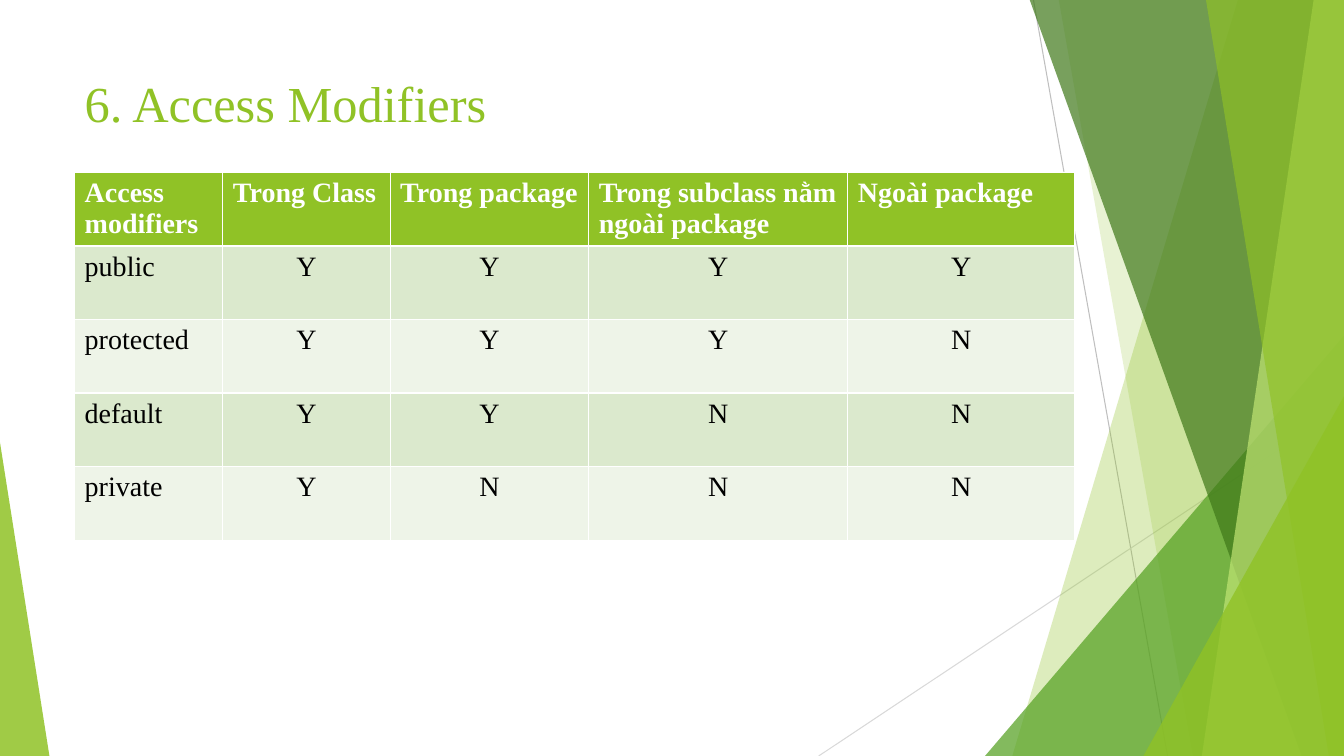
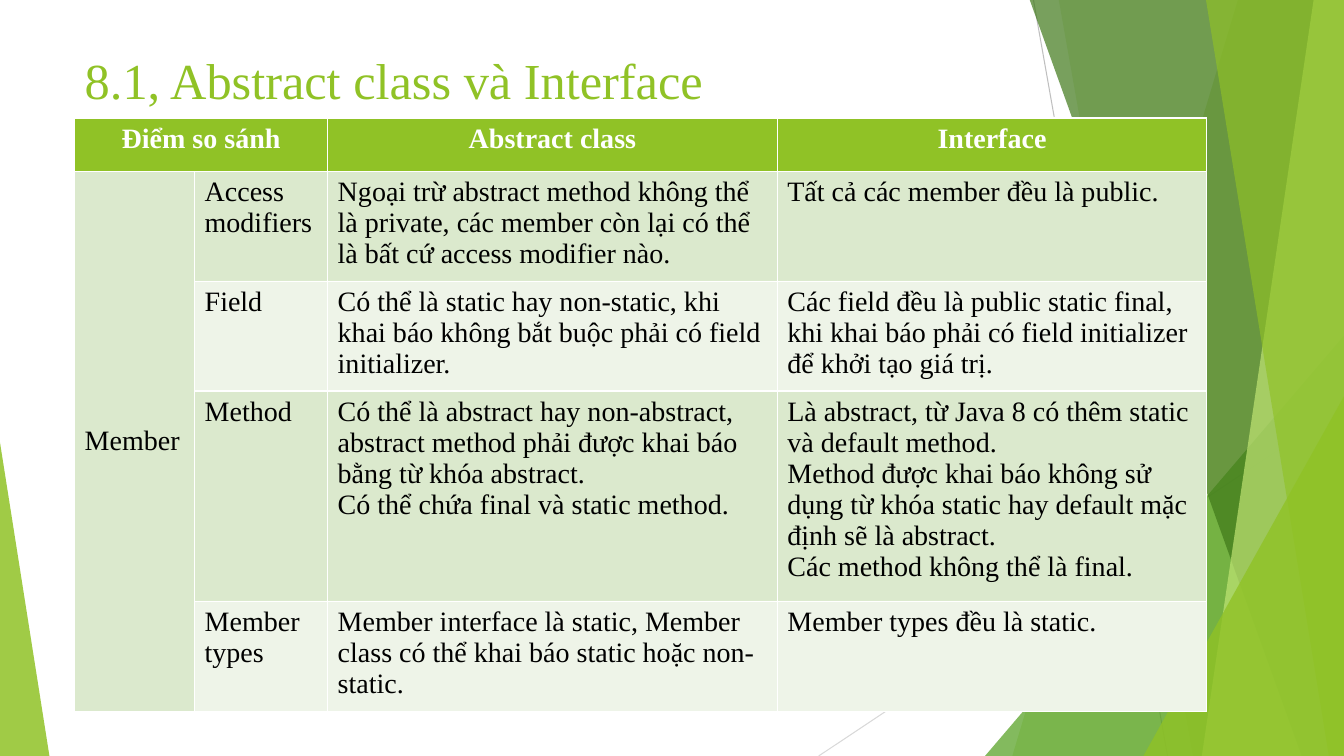
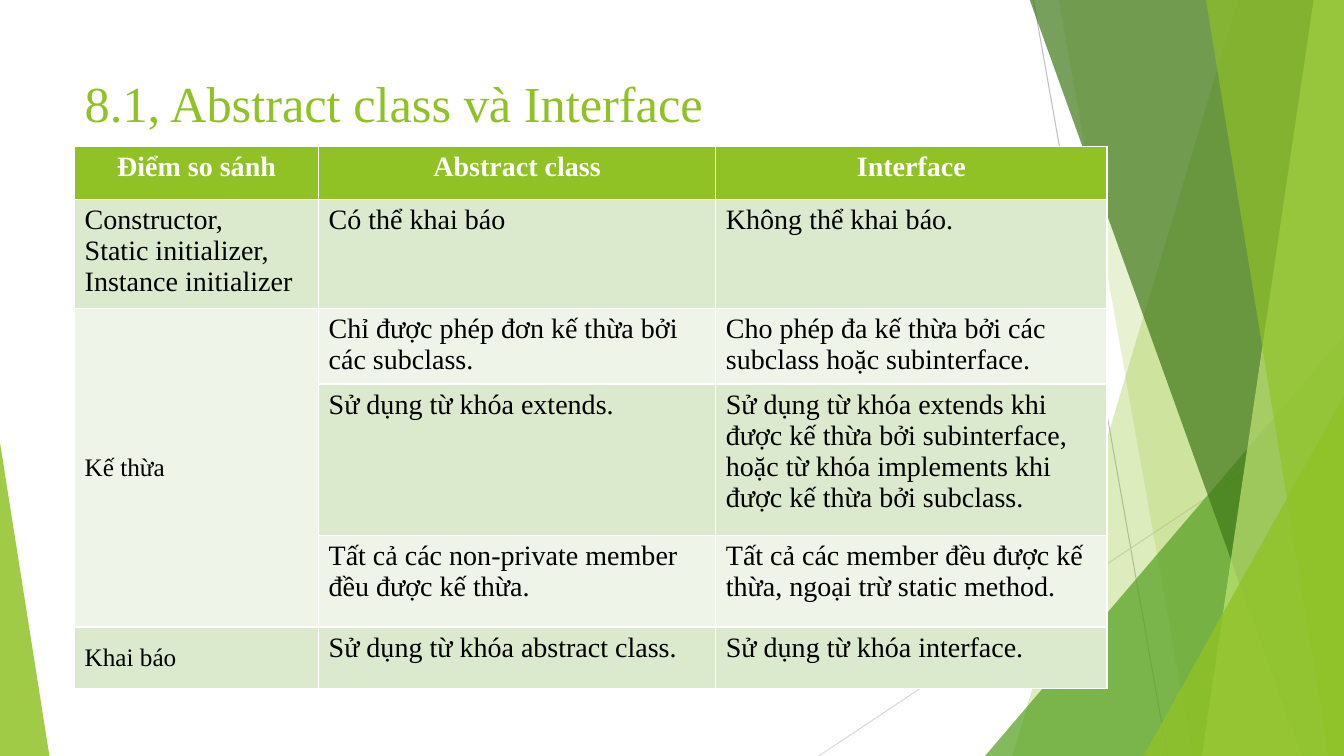
from dataclasses import dataclass

from lxml import etree
from pptx import Presentation
from pptx.dml.color import RGBColor
from pptx.enum.shapes import MSO_CONNECTOR, MSO_SHAPE
from pptx.enum.text import MSO_ANCHOR, MSO_AUTO_SIZE, PP_ALIGN
from pptx.oxml.ns import qn
from pptx.util import Inches, Pt

STRAIGHT = MSO_CONNECTOR.STRAIGHT
TRIANGLE = MSO_SHAPE.ISOSCELES_TRIANGLE
TOP, MIDDLE = MSO_ANCHOR.TOP, MSO_ANCHOR.MIDDLE
LEFT, CENTER = PP_ALIGN.LEFT, PP_ALIGN.CENTER
NO_AUTOFIT = MSO_AUTO_SIZE.NONE

FONT = "Times New Roman"
GREEN, MID_GREEN, DARK_GREEN, LIME = "90C226", "54A021", "3F7819", "C0E474"
WHITE, BLACK = "FFFFFF", "000000"
BANDS = ("EEF4E8", "DBE9CD")
WIDTH, HEIGHT = 13.33, 7.5
MARGIN = 0.74


@dataclass
class Ray:
    x1: float
    y1: float
    x2: float
    y2: float
    color: str


@dataclass
class Pane:
    top_x: float
    bottom_x: float
    color: str
    opacity: int


@dataclass
class Corner:
    left: float
    top: float
    width: float
    apex: float
    color: str
    opacity: int


@dataclass
class Cell:
    text: str
    size: int = 20
    align: PP_ALIGN = LEFT
    anchor: MSO_ANCHOR = TOP
    rows: int = 1
    cols: int = 1


@dataclass
class TableSlide:
    title: str
    title_top: float
    title_height: float
    table_top: float
    widths: list
    heights: list
    cells: list


DECOR = [
    Ray(10.25, 0, 11.58, HEIGHT, "BFBFBF"),
    Ray(WIDTH, 4.03, 8.12, HEIGHT, "D9D9D9"),
    Pane(12.28, 10.04, GREEN, 30),
    Pane(10.5, 11.83, GREEN, 20),
    Corner(9.77, 3.33, 3.56, 1, MID_GREEN, 72),
    Pane(10.21, 12.91, DARK_GREEN, 70),
    Pane(13.03, 11.92, LIME, 70),
    Pane(11.96, 13.18, GREEN, 65),
    Corner(11.34, 3.93, 1.99, 1, GREEN, 80),
    Corner(0, 4.39, 0.49, 0, GREEN, 85),
]


def centered(*texts: str) -> list:
    return [Cell(text, align=CENTER) for text in texts]


SLIDES = [
    TableSlide(
        "6. Access Modifiers", 0.67, 1.05, 1.71,
        [1.47, 1.66, 1.97, 2.57, 2.25], [0.73] * 5,
        [
            ["Access modifiers", "Trong Class", "Trong package",
             "Trong subclass nằm ngoài package", "Ngoài package"],
            ["public", *centered(*"YYYY")],
            ["protected", *centered(*"YYYN")],
            ["default", *centered(*"YYNN")],
            ["private", *centered(*"YNNN")],
        ],
    ),
    TableSlide(
        "8.1, Abstract class và Interface", 0.44, 0.73, 1.17,
        [1.19, 1.32, 4.46, 4.26], [0.53, 1.09, 1.09, 2.09, 1.09],
        [
            [Cell("Điểm so sánh", align=CENTER, cols=2), None,
             *centered("Abstract class", "Interface")],
            [Cell("Member", anchor=MIDDLE, rows=4), "Access modifiers",
             "Ngoại trừ abstract method không thể là private, các member "
             "còn lại có thể là bất cứ access modifier nào.",
             "Tất cả các member đều là public."],
            [None, "Field",
             "Có thể là static hay non-static, khi khai báo không bắt buộc "
             "phải có field initializer.",
             "Các field đều là public static final, khi khai báo phải có "
             "field initializer để khởi tạo giá trị."],
            [None, "Method",
             "Có thể là abstract hay non-abstract, abstract method phải được "
             "khai báo bằng từ khóa abstract.\n"
             "Có thể chứa final và static method.",
             "Là abstract, từ Java 8 có thêm static và default method.\n"
             "Method được khai báo không sử dụng từ khóa static hay default "
             "mặc định sẽ là abstract.\n"
             "Các method không thể là final."],
            [None, "Member types",
             "Member interface là static, Member class có thể khai báo "
             "static hoặc non-static.",
             "Member types đều là static."],
        ],
    ),
    TableSlide(
        "8.1, Abstract class và Interface", 0.67, 0.83, 1.45,
        [2.42, 3.94, 3.88], [0.53, 1.08, 0.75, 1.5, 0.91, 0.61],
        [
            centered("Điểm so sánh", "Abstract class", "Interface"),
            ["Constructor,\nStatic initializer,\nInstance initializer",
             "Có thể khai báo", "Không thể khai báo."],
            [Cell("Kế thừa", size=18, anchor=MIDDLE, rows=3),
             "Chỉ được phép đơn kế thừa bởi các subclass.",
             "Cho phép đa kế thừa bởi các subclass hoặc subinterface."],
            [None, "Sử dụng từ khóa extends.",
             "Sử dụng từ khóa extends khi được kế thừa bởi subinterface, "
             "hoặc từ khóa implements khi được kế thừa bởi subclass."],
            [None, "Tất cả các non-private member đều được kế thừa.",
             "Tất cả các member đều được kế thừa, ngoại trừ static method."],
            [Cell("Khai báo", size=18, anchor=MIDDLE),
             "Sử dụng từ khóa abstract class.",
             "Sử dụng từ khóa interface."],
        ],
    ),
]


def set_color(fmt, color: str) -> None:
    fmt.rgb = RGBColor.from_string(color)


def paint(shape, color: str, opacity: int) -> None:
    shape.shadow.inherit = False
    shape.line.fill.background()
    shape.fill.solid()
    set_color(shape.fill.fore_color, color)
    clr = shape.element.spPr.find(f"{qn('a:solidFill')}/{qn('a:srgbClr')}")
    etree.SubElement(clr, qn("a:alpha")).set("val", str(opacity * 1000))


def add_ray(s, ray: Ray):
    line = s.shapes.add_connector(
        STRAIGHT, Inches(ray.x1), Inches(ray.y1), Inches(ray.x2), Inches(ray.y2))
    set_color(line.line.color, ray.color)
    line.line.width = Pt(0.75)
    etree.SubElement(line.element.spPr, qn("a:effectLst"))
    return line


def add_pane(s, pane: Pane):
    top, bottom = Inches(-0.01), Inches(HEIGHT)
    builder = s.shapes.build_freeform(Inches(pane.top_x), top)
    builder.add_line_segments(
        [(Inches(WIDTH), top), (Inches(WIDTH), bottom),
         (Inches(pane.bottom_x), bottom)], close=True)
    shape = builder.convert_to_shape()
    paint(shape, pane.color, pane.opacity)
    return shape


def add_corner(s, corner: Corner):
    shape = s.shapes.add_shape(
        TRIANGLE, Inches(corner.left), Inches(corner.top),
        Inches(corner.width), Inches(HEIGHT - corner.top))
    shape.adjustments[0] = corner.apex
    paint(shape, corner.color, corner.opacity)
    return shape


def decorate_layout(layout, s) -> None:
    draw = {Ray: add_ray, Pane: add_pane, Corner: add_corner}
    for i, item in enumerate(DECOR):
        element = draw[type(item)](s, item).element
        element.xpath("./*/p:cNvPr")[0].set("id", str(100 + i))
        layout.shapes.element.insert(2 + i, element)


def add_run(p, text: str, size: int, color: str, bold: bool = False) -> None:
    r = p.add_run()
    r.text = text
    r.font.name = FONT
    r.font.size = Pt(size)
    r.font.bold = bold
    set_color(r.font.color, color)


def format_title(s, data: TableSlide) -> None:
    title = s.shapes.title
    title.left, title.top = Inches(MARGIN), Inches(data.title_top)
    title.width, title.height = Inches(9.4), Inches(data.title_height)
    tf = title.text_frame
    tf.word_wrap = True
    tf.auto_size = NO_AUTOFIT
    tf.vertical_anchor = TOP
    p = tf.paragraphs[0]
    p.alignment = LEFT
    add_run(p, data.title, 36, GREEN)


def fill_cell(target, cell: Cell, header: bool) -> None:
    target.vertical_anchor = cell.anchor
    tf = target.text_frame
    for i, text in enumerate(cell.text.split("\n")):
        p = tf.add_paragraph() if i else tf.paragraphs[0]
        p.alignment = cell.align
        add_run(p, text, cell.size, WHITE if header else BLACK, header)


def add_comparison(s, data: TableSlide) -> None:
    table = s.shapes.add_table(
        len(data.heights), len(data.widths), Inches(MARGIN),
        Inches(data.table_top), Inches(sum(data.widths)),
        Inches(sum(data.heights))).table
    for column, width in zip(table.columns, data.widths):
        column.width = Inches(width)
    for row, height in zip(table.rows, data.heights):
        row.height = Inches(height)
    for i, row in enumerate(data.cells):
        for j, item in enumerate(row):
            target = table.cell(i, j)
            target.fill.solid()
            set_color(target.fill.fore_color, BANDS[i % 2] if i else GREEN)
            if item is None:
                continue
            cell = Cell(item) if isinstance(item, str) else item
            if cell.rows > 1 or cell.cols > 1:
                target.merge(table.cell(i + cell.rows - 1, j + cell.cols - 1))
            fill_cell(target, cell, i == 0)


def main() -> None:
    prs = Presentation()
    prs.slide_width, prs.slide_height = Inches(WIDTH), Inches(HEIGHT)
    layout = prs.slide_layouts[5]
    for data in SLIDES:
        s = prs.slides.add_slide(layout)
        format_title(s, data)
        add_comparison(s, data)
    decorate_layout(layout, prs.slides[0])
    prs.save("out.pptx")


main()
